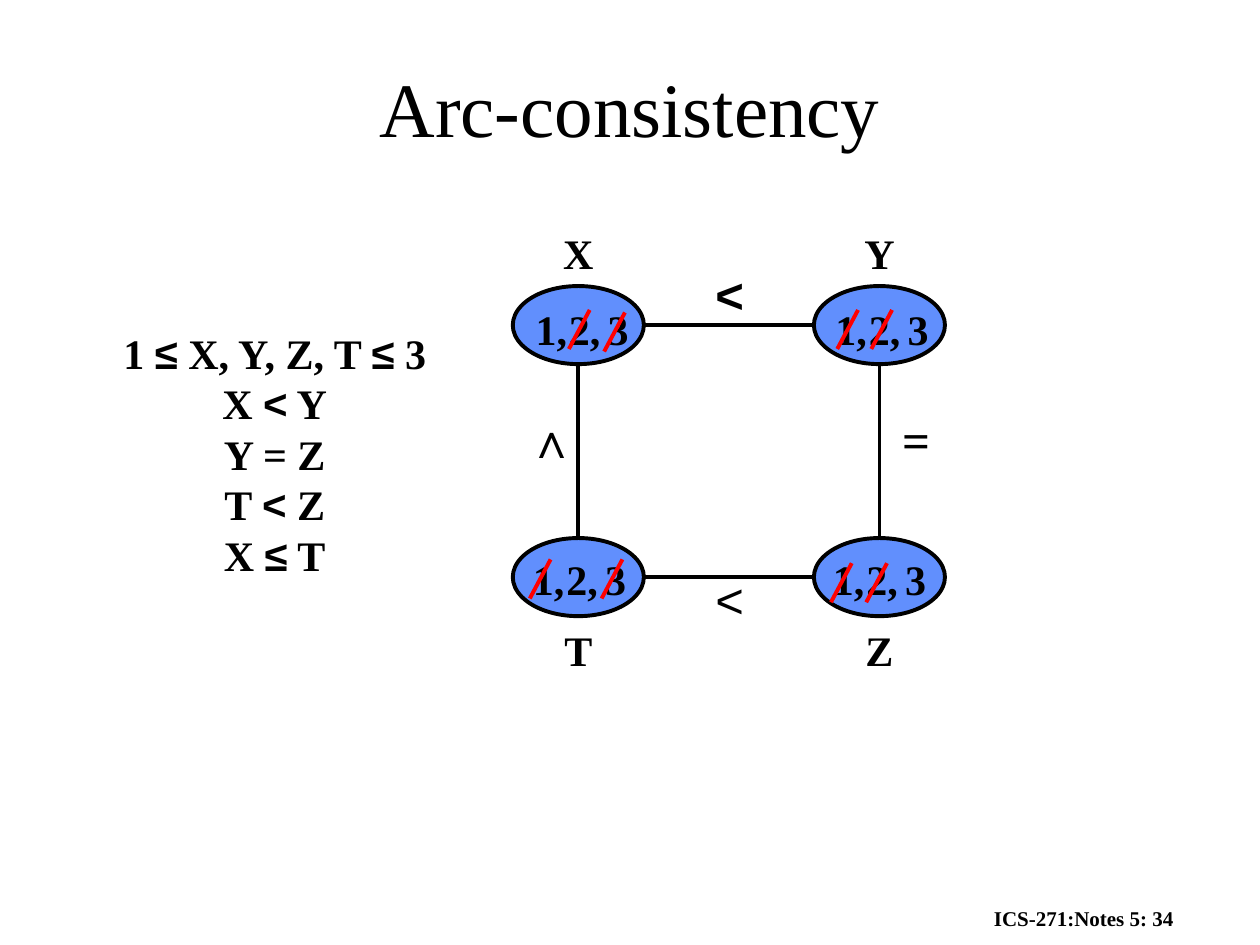
from itertools import groupby

from pptx import Presentation
from pptx.dml.color import RGBColor
from pptx.enum.shapes import MSO_CONNECTOR as Conn, MSO_SHAPE as Form
from pptx.enum.text import MSO_ANCHOR as Anchor, MSO_AUTO_SIZE as Fit, PP_ALIGN as Align
from pptx.oxml.ns import qn
from pptx.util import Inches, Pt
from lxml.etree import SubElement

BLACK = RGBColor(0x00, 0x00, 0x00)
BLUE = RGBColor(0x61, 0x8F, 0xFD)
RED = RGBColor(0xFF, 0x00, 0x00)
SERIF, SANS = "Times New Roman", "Arial"
SIGNS = "≤<∧"  # these are set in the sans font
COLS, ROWS = 100, 75


class Board:
    """Draws on one slide; lengths are columns and rows of the grid."""

    def __init__(self, deck):
        self.slide = deck.slides.add_slide(deck.slide_layouts[5])
        self.shapes = self.slide.shapes
        self.cell_w = deck.slide_width / COLS
        self.cell_h = deck.slide_height / ROWS

    def span(self, x, y):
        return round(x * self.cell_w), round(y * self.cell_h)

    def fill(self, frame, lines, align=Align.CENTER, **style):
        """Fill a frame, one paragraph a line, signs in their own font."""
        look = {"size": Pt(24), "bold": True} | style
        for i, line in enumerate(lines):
            para = frame.add_paragraph() if i else frame.paragraphs[0]
            para.alignment = align
            for sign, chars in groupby(line, lambda c: c in SIGNS):
                run = para.add_run()
                run.text = "".join(chars)
                run.font.color.rgb = BLACK
                run.font.name = SANS if sign else SERIF
                for key, value in look.items():
                    setattr(run.font, key, value)

    def title(self, text, x, y, w, h):
        box = self.shapes.title
        box.left, box.top = self.span(x, y)
        box.width, box.height = self.span(w, h)
        frame = box.text_frame
        for key, value in {"vertical_anchor": Anchor.MIDDLE, "auto_size": Fit.NONE}.items():
            setattr(frame, key, value)
        self.fill(frame, [text], size=Pt(44), bold=False)

    def text(self, lines, x, y, w, h=5, **style):
        box = self.shapes.add_textbox(*self.span(x, y), *self.span(w, h))
        frame = box.text_frame
        for key, value in {"word_wrap": False, "auto_size": Fit.SHAPE_TO_FIT_TEXT}.items():
            setattr(frame, key, value)
        self.fill(frame, lines, **style)

    def oval(self, x, y, w, h):
        oval = self.shapes.add_shape(Form.OVAL, *self.span(x, y), *self.span(w, h))
        oval.shadow.inherit = False
        oval.fill.solid()
        oval.fill.fore_color.rgb = BLUE
        oval.line.color.rgb = BLACK
        oval.line.width = Pt(2.25)

    def line(self, x1, y1, x2, y2, color=BLACK):
        line = self.shapes.add_connector(
            Conn.STRAIGHT, *self.span(x1, y1), *self.span(x2, y2))
        line.line.color.rgb = color
        line.line.width = Pt(2.25)
        SubElement(line._element.spPr, qn("a:effectLst"))


# Variables: name, oval corner, label row, corner of the values, slash tops
LEFT, RIGHT, TOP, LOW = 40.7, 64.6, 22.7, 42.7
NODE_W, NODE_H = 10.4, 6.2
NODES = [
    ("X", LEFT, TOP, 17.6, (41.5, 23.6), [(46.8, 24.6), (49.6, 24.8)]),
    ("Y", RIGHT, TOP, 17.6, (65.3, 23.6), [(68.1, 24.6), (70.8, 24.6)]),
    ("T", LEFT, LOW, 49.1, (41.3, 43.4), [(43.7, 44.4), (49.4, 44.4)]),
    ("Z", RIGHT, LOW, 49.1, (65.1, 43.4), [(67.6, 44.7), (70.4, 44.7)]),
]
# Values: text, offset from the first one, box width
VALUES = [("1,", 0, 4.5), ("2,", 2.65, 4.5), ("3", 5.75, 3.6)]
# Relations beside the links: sign, place, width, weight
LINKS = [
    ("<", 55.8, 20.5, 4.2, True),
    ("=", 70.6, 32, 4.2, True),
    ("<", 55.8, 44.7, 4.2, False),
    ("∧", 40.9, 32, 3.3, False),
]


def main():
    deck = Presentation()
    deck.slide_width, deck.slide_height = Inches(10), Inches(7.5)
    board = Board(deck)

    # Title, footer and the list of constraints
    board.title("Arc-consistency", 7.5, 2.2, 85, 12.5)
    board.text(["ICS-271:Notes 5: 34"], 77.9, 71.4, 22.1, 3,
               align=Align.LEFT, size=Pt(12))
    board.text(["1 ≤ X, Y, Z, T ≤ 3", "X < Y", "Y = Z", "T < Z", "X ≤ T"],
               7.7, 25.5, 28.2, 21)

    # Links between the variables
    for x in (LEFT, RIGHT):
        mid = x + NODE_W / 2
        board.line(mid, TOP + NODE_H, mid, LOW)
    for y in (TOP, LOW):
        mid = y + NODE_H / 2
        board.line(LEFT + NODE_W, mid, RIGHT, mid)
    for sign, x, y, w, bold in LINKS:
        board.text([sign], x, y, w, 5.7, size=Pt(28), bold=bold)

    # Variables with their values, the removed ones struck out
    for name, x, y, row, (left, top), cuts in NODES:
        board.oval(x, y, NODE_W, NODE_H)
        board.text([name], x + NODE_W / 2 - 2.2, row, 4.4)
        for value, shift, w in VALUES:
            board.text([value], left + shift, top, w)
        for cx, cy in cuts:
            board.line(cx, cy, cx - 1.65, cy + 3.1, RED)

    deck.save("out.pptx")


if __name__ == "__main__":
    main()
